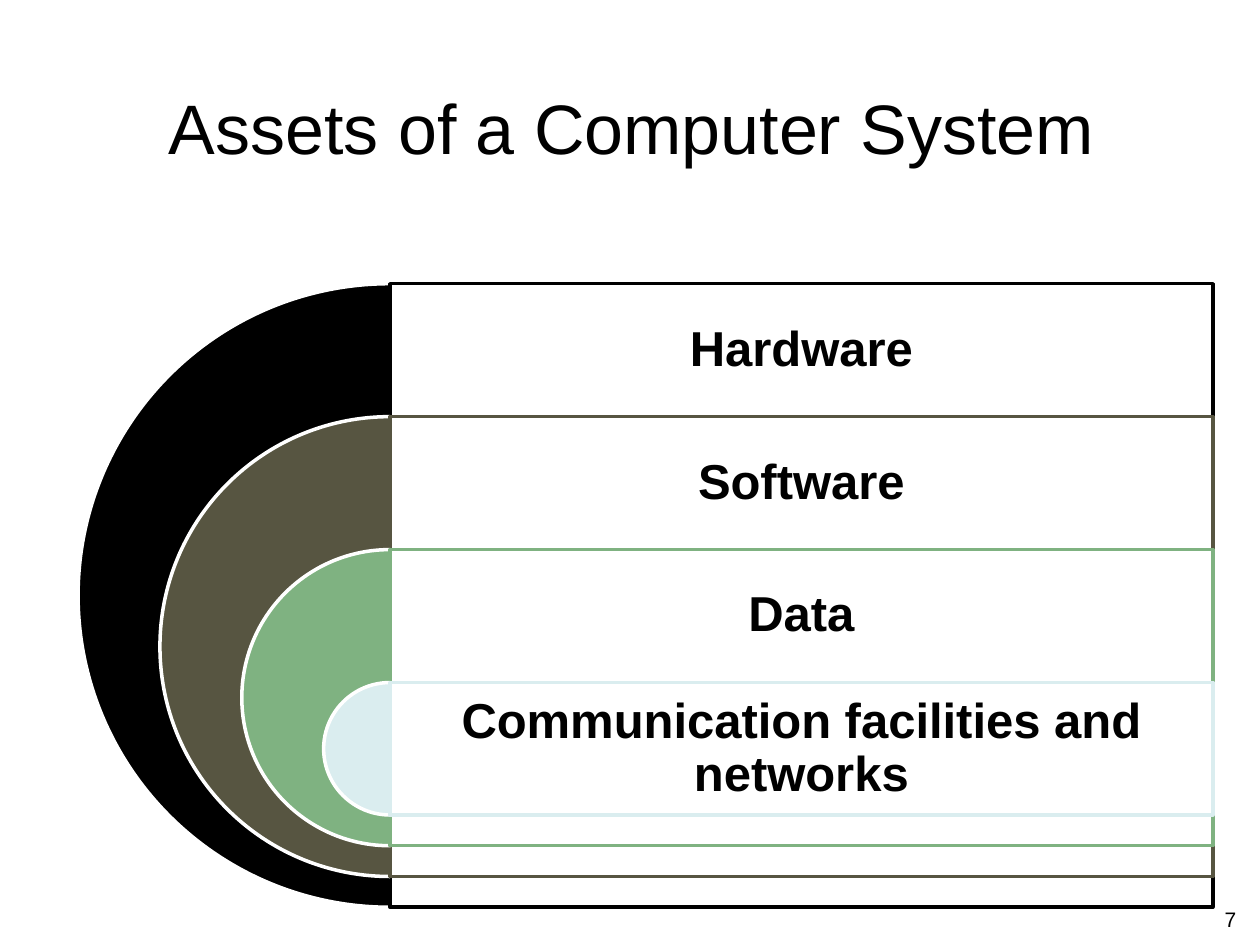
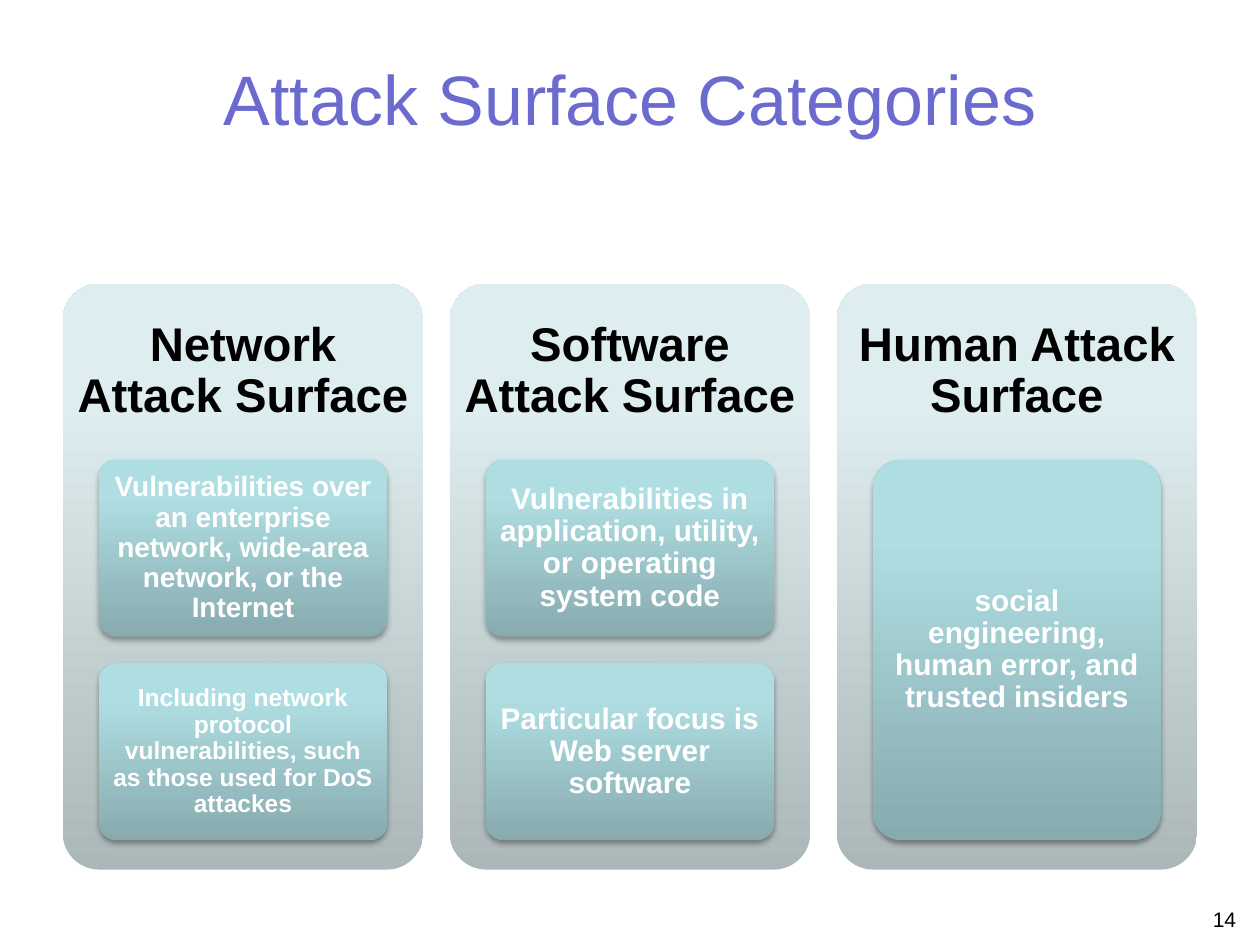
from copy import deepcopy
from dataclasses import dataclass

from lxml.etree import SubElement
from pptx import Presentation
from pptx.dml.color import RGBColor as RGB
from pptx.enum.shapes import MSO_SHAPE as Preset
from pptx.enum.text import MSO_ANCHOR as Anchor, PP_ALIGN as Align
from pptx.oxml.ns import qn
from pptx.util import Cm, Pt

ASSETS_TITLE = "Assets of a Computer System"
ASSETS = [
    ("Hardware", "000000"),
    ("Software", "575541"),
    ("Data", "7FB281"),
    ("Communication facilities and networks", "DAEDEF"),
]

SURFACES_TITLE = "Attack Surface Categories"
# Each surface: heading, then its cards as (text, size in points)
SURFACES = [
    ("Network Attack Surface", [
        ("Vulnerabilities over an enterprise network, wide-area network, "
         "or the Internet", 16),
        ("Including network protocol vulnerabilities, such as those used "
         "for DoS attackes", 14),
    ]),
    ("Software Attack Surface", [
        ("Vulnerabilities in application, utility, or operating system code", 17),
        ("Particular focus is Web server software", 17),
    ]),
    ("Human Attack Surface", [
        ("social engineering, human error, and trusted insiders", 17),
    ]),
]


@dataclass(frozen=True)
class Theme:
    font: str = "Arial"
    ink: str = "000000"
    paper: str = "FFFFFF"
    accent: str = "6B6BCF"
    panel: tuple = ((0, "ABB7B8"), (0.8, "DEEDEF"), (1, "DFEFF0"))
    card: tuple = ((0, "87ABAE"), (0.8, "AFDEE2"), (1, "AFE0E4"))
    title_size: int = 40
    asset_size: int = 28
    surface_size: int = 27
    number_size: int = 12
    line_width: int = 2


THEME = Theme()
DIAGRAM_TOP = 5.72


def apply(target, values):
    for name, value in values.items():
        setattr(target, name, value)


def write(shape, text, size, color=THEME.ink, bold=True, align=Align.CENTER,
          spacing=0.9, anchor=Anchor.MIDDLE, inset=(0.25, 0.13)):
    """Fill a shape with one paragraph; inset is (sides, top and bottom) in cm."""
    side, end = map(Cm, inset)
    frame = shape.text_frame
    apply(frame, dict(word_wrap=True, vertical_anchor=anchor, margin_left=side,
                      margin_right=side, margin_top=end, margin_bottom=end))
    paragraph = frame.paragraphs[0]
    apply(paragraph, dict(text=text, alignment=align, line_spacing=spacing))
    font = paragraph.runs[0].font
    apply(font, dict(name=THEME.font, size=Pt(size), bold=bold))
    font.color.rgb = RGB.from_string(color)


def add_text(slide, box, text, size, **style):
    write(slide.shapes.add_textbox(*map(Cm, box)), text, size, **style)


def add_preset(slide, preset, box, adjustments=()):
    shape = slide.shapes.add_shape(preset, *map(Cm, box))
    shape.shadow.inherit = False
    for i, value in enumerate(adjustments):
        shape.adjustments[i] = value
    return shape


def paint(shape, fill, line):
    shape.fill.solid()
    shape.fill.fore_color.rgb = RGB.from_string(fill)
    shape.line.color.rgb = RGB.from_string(line)
    shape.line.width = Pt(THEME.line_width)


def set_opacity(shape, percent):
    color = shape._element.spPr.find(qn("a:solidFill"))[0]
    SubElement(color, qn("a:alpha"), val=str(percent * 1000))


def add_gradient_box(slide, box, stops):
    """Rounded box without outline, its gradient running from bottom to top."""
    shape = add_preset(slide, Preset.ROUNDED_RECTANGLE, box, [0.1])
    shape.line.fill.background()
    shape.fill.gradient()
    shape.fill.gradient_angle = 90
    stop_list = shape._element.spPr.find(".//" + qn("a:gsLst"))
    stop_list.append(deepcopy(stop_list[-1]))
    for stop, (position, color) in zip(shape.fill.gradient_stops, stops):
        stop.position = position
        stop.color.rgb = RGB.from_string(color)
    return shape


def cast_shadow(shape):
    effects = shape._element.spPr.find(qn("a:effectLst"))
    shadow = SubElement(effects, qn("a:outerShdw"), blurRad=str(Pt(3.1)),
                        dist=str(Pt(1.8)), dir="5400000", rotWithShape="0")
    color = SubElement(shadow, qn("a:srgbClr"), val=THEME.ink)
    SubElement(color, qn("a:alpha"), val="35000")


def add_page(deck, title, title_box, number, title_color=THEME.ink):
    slide = deck.slides.add_slide(deck.slide_layouts[6])
    plain = dict(bold=False, spacing=1.0)
    add_text(slide, title_box, title, THEME.title_size, color=title_color, **plain)
    add_text(slide, (19.25, 18.14, 5.92, 0.69), str(number), THEME.number_size,
             align=Align.RIGHT, anchor=Anchor.TOP, **plain)
    return slide


def draw_assets(slide):
    center, width = 7.86, 16.59
    band, shrink, outer = 2.68, 3.3, 12.57
    for i, (asset, color) in enumerate(ASSETS):
        top, size = DIAGRAM_TOP + i * band, outer - i * shrink
        half_disc = add_preset(slide, Preset.PIE,
                               (center - size / 2, top, size, size), [54, 162])
        paint(half_disc, color, THEME.paper)
        frame = add_preset(slide, Preset.RECTANGLE, (center, top, width, size))
        paint(frame, THEME.paper, color)
        set_opacity(frame, 90)
        add_text(slide, (center, top, width, band), asset, THEME.asset_size,
                 inset=(0.3, 0.3))


def draw_surfaces(slide):
    left, pitch, width, height = 1.27, 7.8, 7.26, 11.81
    heading_height, card_width = 3.54, 5.82
    cards_top, cards_height, gap = 9.27, 7.67, 0.54
    for i, (surface, cards) in enumerate(SURFACES):
        x = left + i * pitch
        add_gradient_box(slide, (x, DIAGRAM_TOP, width, height), THEME.panel)
        add_text(slide, (x, DIAGRAM_TOP, width, heading_height), surface,
                 THEME.surface_size, inset=(0.26, 0.27))
        card_height = (cards_height + gap) / len(cards) - gap
        for j, (text, size) in enumerate(cards):
            y = cards_top + j * (card_height + gap)
            card = add_gradient_box(
                slide, (x + (width - card_width) / 2, y, card_width, card_height),
                THEME.card)
            cast_shadow(card)
            write(card, text, size, color=THEME.paper, inset=(0.11, 0.08))


def main():
    deck = Presentation()
    apply(deck, dict(slide_width=Cm(25.4), slide_height=Cm(19.05)))
    draw_assets(add_page(deck, ASSETS_TITLE, (1.3, 0.33, 22.86, 4.45), 7))
    draw_surfaces(add_page(deck, SURFACES_TITLE, (1.27, 0.76, 22.86, 2.41), 14,
                           THEME.accent))
    deck.save("out.pptx")


if __name__ == "__main__":
    main()
